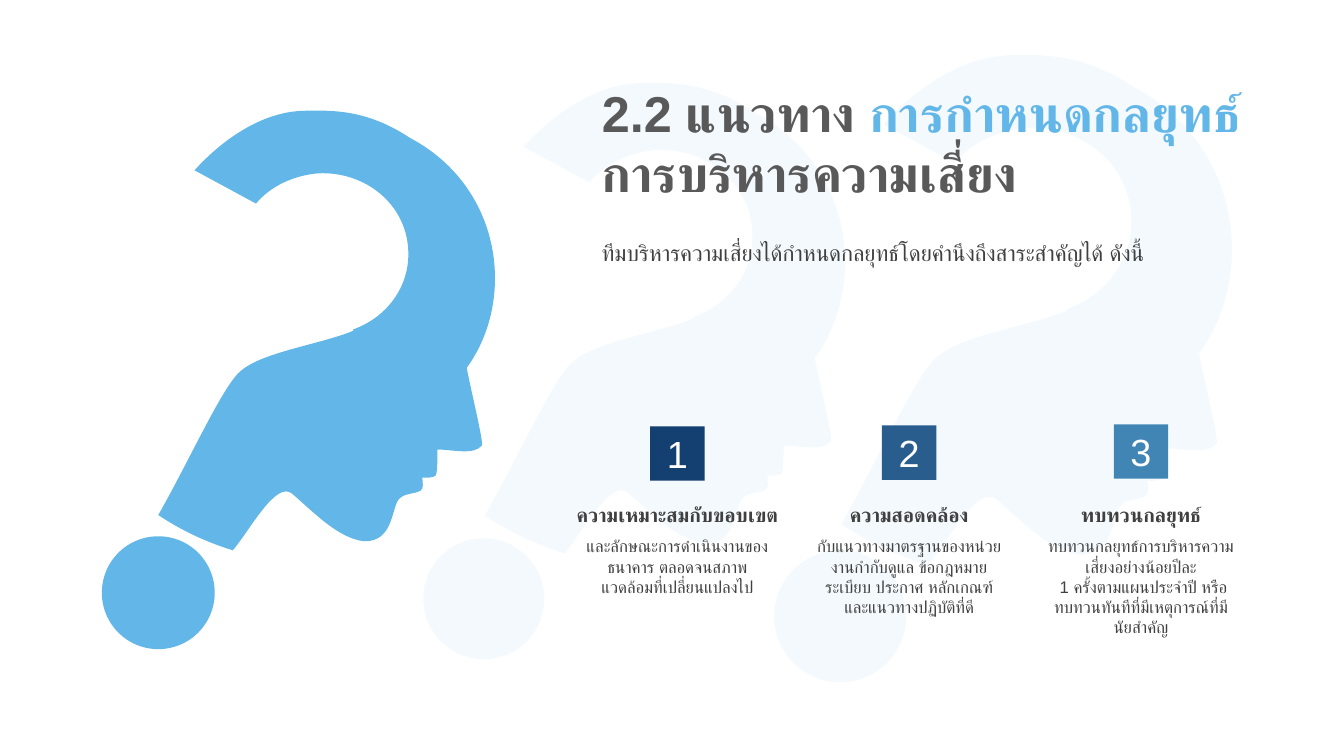
from math import cos, radians, sin
from lxml.etree import SubElement
from pptx import Presentation
from pptx.dml.color import RGBColor
from pptx.enum.shapes import MSO_SHAPE
from pptx.enum.text import MSO_ANCHOR, MSO_AUTO_SIZE, PP_ALIGN
from pptx.oxml.ns import qn
from pptx.util import Inches, Pt

COLS, ROWS = 400 / 3, 75
SKY, GRAY, INK, WHITE = "62B7E8", "595959", "404040", "FFFFFF"
TILT = 26.9
HEAD_LEFT, HEAD_TOP, HEAD_WIDTH, HEAD_HEIGHT = 12.8, 11.7, 37.7, 45
HEAD = [
    (30.1, 11.0),
    (33.4, 10.9, 36.6, 11.0, 40.7, 13.7),
    (49.9, 18.6, 51.2, 29.8, 46.3, 36.5),
    (46.8, 39.1, 48.0, 43.9, 47.8, 44.2),
    (47.0, 45.2, 44.9, 44.6, 43.4, 44.6),
    (43.4, 45.5, 43.4, 47.0, 43.2, 47.2),
    (42.9, 47.4, 42.4, 47.4, 41.9, 47.4),
    (41.9, 47.8, 42.1, 48.5, 41.7, 48.7),
    (41.2, 49.0, 40.3, 48.9, 39.7, 49.4),
    (38.8, 50.0, 39.2, 53.8, 36.1, 53.7),
    (33.5, 53.4, 31.0, 50.7, 29.0, 49.0),
    (27.4, 47.6, 24.8, 52.6, 23.1, 54.6),
    (20.2, 53.7, 17.8, 52.5, 15.7, 51.1),
    (18.5, 46.2, 21.6, 39.4, 23.4, 37.3),
    (25.2, 35.0, 31.5, 34.3, 35.1, 32.8),
    (35.0, 32.7),
    (38.4, 31.5, 40.7, 28.4, 40.5, 24.8),
    (40.3, 20.3, 36.3, 17.0, 31.6, 17.2),
    (29.1, 17.4, 26.8, 18.5, 25.4, 20.2),
    (19.3, 16.9),
    (22.2, 13.7, 26.1, 11.1, 30.1, 11.0),
]
CARDS = [
    ("134070", 42.3, 25.6, 12.3, "ความเหมาะสมกับขอบเขต",
     "และลักษณะการดำเนินงานของธนาคาร ตลอดจนสภาพแวดล้อมที่เปลี่ยนแปลงไป"),
    ("285D8D", 42.2, 20.7, 15.1, "ความสอดคล้อง",
     "กับแนวทางมาตรฐานของหน่วยงานกำกับดูแล ข้อกฎหมาย ระเบียบ ประกาศ หลักเกณฑ์ และแนวทางปฏิบัติที่ดี"),
    ("4185B5", 42.1, 20.7, 15.1, "ทบทวนกลยุทธ์",
     "ทบทวนกลยุทธ์การบริหารความเสี่ยงอย่างน้อยปีละ\n 1 ครั้งตามแผนประจำปี หรือทบทวนทันทีที่มีเหตุการณ์ที่มีนัยสำคัญ"),
]


def rgb(color):
    return RGBColor.from_string(color)


def add_text(p, text, size=12, color=INK, bold=False, font="Arial"):
    for i, line in enumerate(text.split("\n")):
        if i:
            p.add_line_break()
        r = p.add_run()
        r.text = line
        r.font.size = Pt(size)
        r.font.bold = bold
        r.font.color.rgb = rgb(color)
        r.font.name = font
        SubElement(r.font._element, qn("a:cs"), typeface=font)


def untilt(px, py):
    dx = px - HEAD_LEFT - HEAD_WIDTH / 2
    dy = py - HEAD_TOP - HEAD_HEIGHT / 2
    c, s = cos(radians(TILT)), sin(radians(TILT))
    return HEAD_WIDTH / 2 + dx * c + dy * s, HEAD_HEIGHT / 2 + dy * c - dx * s


class Deck:
    def __init__(self):
        self.prs = Presentation()
        self.prs.slide_width, self.prs.slide_height = Inches(40 / 3), Inches(7.5)
        self.s = self.prs.slides.add_slide(self.prs.slide_layouts[5])

    def x(self, cols):
        return round(self.prs.slide_width * cols / COLS)

    def y(self, rows):
        return round(self.prs.slide_height * rows / ROWS)

    def box(self, left, top, width, height):
        return self.x(left), self.y(top), self.x(width), self.y(height)

    def paint(self, sp, color, alpha=100):
        sp.shadow.inherit = False
        sp.line.fill.background()
        sp.fill.solid()
        sp.fill.fore_color.rgb = rgb(color)
        if alpha < 100:
            clr = sp.fill._xPr.find(".//" + qn("a:srgbClr"))
            SubElement(clr, qn("a:alpha"), val=str(alpha * 1000))

    def frame(self, sp, paragraphs, align=PP_ALIGN.LEFT, anchor=MSO_ANCHOR.TOP,
              fit=MSO_AUTO_SIZE.SHAPE_TO_FIT_TEXT, **fmt):
        tf = sp.text_frame
        tf.word_wrap = True
        tf.auto_size = fit
        tf.vertical_anchor = anchor
        for i, runs in enumerate(paragraphs):
            p = tf.add_paragraph() if i else tf.paragraphs[0]
            p.alignment = align
            p.space_before = Pt(0)
            for text, color in runs:
                add_text(p, text, color=color, **fmt)

    def title(self, paragraphs, *area):
        sp = self.s.shapes.title
        sp.element.getparent().append(sp.element)
        sp.left, sp.top, sp.width, sp.height = self.box(*area)
        self.frame(sp, paragraphs, size=36, bold=True)

    def text(self, text, *area, **fmt):
        sp = self.s.shapes.add_textbox(*self.box(*area))
        self.frame(sp, [[(text, INK)]], **fmt)

    def badge(self, text, color, *area):
        sp = self.s.shapes.add_shape(MSO_SHAPE.RECTANGLE, *self.box(*area))
        self.paint(sp, color)
        self.frame(sp, [[(text, WHITE)]], PP_ALIGN.CENTER, MSO_ANCHOR.MIDDLE,
                   MSO_AUTO_SIZE.NONE, size=27)

    def curve(self, shapes, segments, left, top, width, height, scale):
        w, h = self.x(width * scale), self.y(height * scale)
        fb = shapes.build_freeform(0, 0)
        fb.add_line_segments([(w, 0), (w, h)], close=True)
        sp = fb.convert_to_shape(self.x(left), self.y(top))
        outline = sp.element.find(".//" + qn("a:path"))
        for child in list(outline):
            outline.remove(child)
        for i, seg in enumerate(segments):
            tag = "a:cubicBezTo" if len(seg) == 6 else "a:lnTo" if i else "a:moveTo"
            step = SubElement(outline, qn(tag))
            for px, py in zip(seg[::2], seg[1::2]):
                ux, uy = untilt(px, py)
                SubElement(step, qn("a:pt"), x=str(self.x(ux * scale)), y=str(self.y(uy * scale)))
        SubElement(outline, qn("a:close"))
        return sp

    def question_head(self, left, top, scale, dot_left, dot_top, dot_size, alpha=100):
        shapes = self.s.shapes.add_group_shape().shapes
        head = self.curve(shapes, HEAD, left, top, HEAD_WIDTH, HEAD_HEIGHT, scale)
        head.rotation = TILT
        dot = shapes.add_shape(MSO_SHAPE.OVAL, *self.box(dot_left, dot_top, dot_size, dot_size))
        dot.rotation = 356.9
        for sp in (head, dot):
            self.paint(sp, SKY, alpha)

    def card(self, number, center, color, top, width, height, heading, body):
        self.text(heading, center - width / 2, 48.9, width, 4.3,
                  align=PP_ALIGN.CENTER, anchor=MSO_ANCHOR.MIDDLE, size=14, bold=True)
        self.text(body, center - 10.3, 52.7, 20.6, height, align=PP_ALIGN.CENTER)
        self.badge(str(number), color, center - 2.7, top, 5.4, 5.4)


def main():
    deck = Deck()
    deck.question_head(45, 9, 1.07, 42, 53.4, 12, alpha=7)
    deck.question_head(80.1, 6.3, 1.16, 76.8, 54.6, 13.1, alpha=7)
    deck.title([[("2.2 แนวทาง ", GRAY), ("การกำหนดกลยุทธ์", SKY)],
                [("การบริหารความเสี่ยง", GRAY)]], 58.7, 7.6, 70.9, 13.1)
    deck.text("ทีมบริหารความเสี่ยงได้กำหนดกลยุทธ์โดยคำนึงถึงสาระสำคัญได้ ดังนี้",
              58.7, 23.2, 65.7, 4.8, size=16)
    for i, card in enumerate(CARDS):
        deck.card(i + 1, 67.2 + 23 * i, *card)
    deck.question_head(HEAD_LEFT, HEAD_TOP, 1, 10.1, 53.2, 11.2)
    deck.prs.save("out.pptx")


if __name__ == "__main__":
    main()
